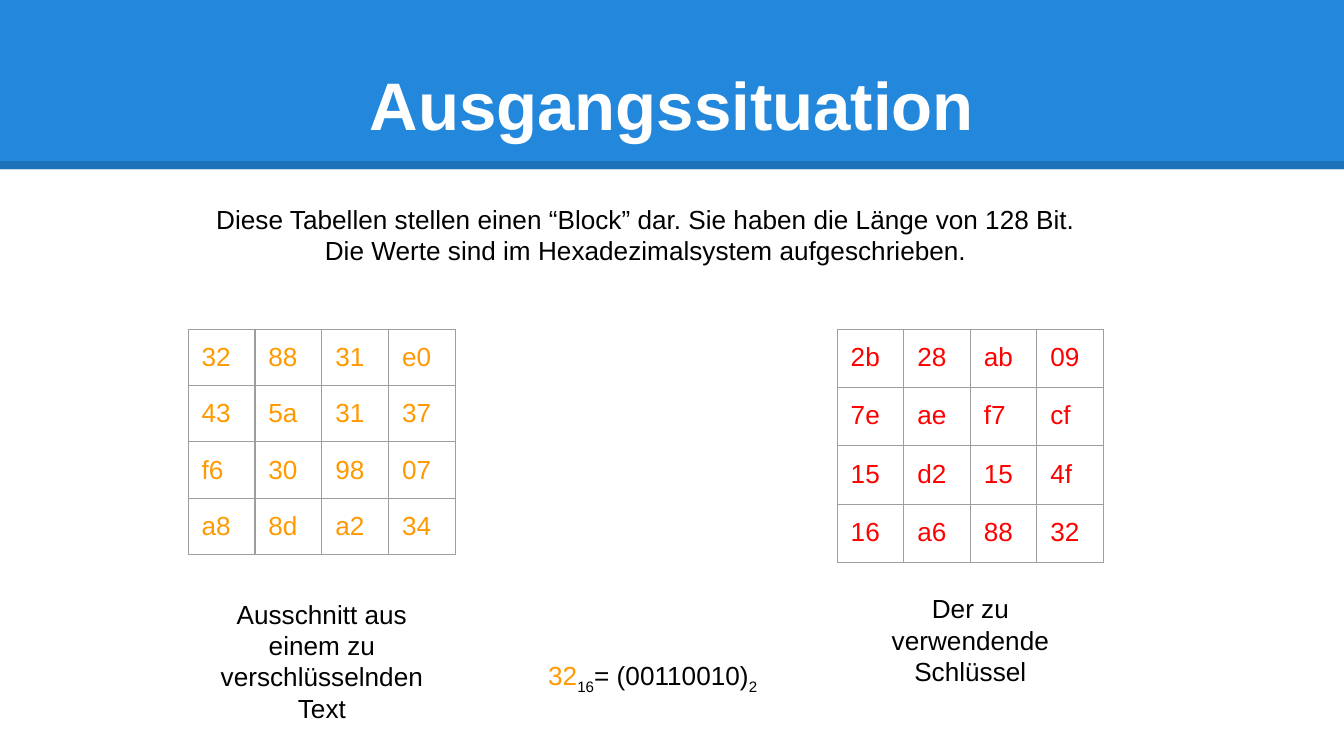
from dataclasses import dataclass

from lxml.etree import SubElement
from pptx import Presentation
from pptx.dml.color import RGBColor
from pptx.enum.shapes import MSO_CONNECTOR, MSO_SHAPE
from pptx.enum.text import MSO_ANCHOR, PP_ALIGN
from pptx.oxml.ns import qn
from pptx.util import Inches, Pt


@dataclass(frozen=True)
class Theme:
    font: str = "Arial"
    title_size: int = 36
    body_size: int = 14
    band: str = "2388DB"
    white: str = "FFFFFF"
    black: str = "000000"
    plaintext: str = "FF9900"
    key: str = "FF0000"
    grid: str = "9E9E9E"
    grid_width: float = 0.75


THEME = Theme()
INSET = Inches(0.1)
BLOCK_HEIGHT = 1.73

PLAINTEXT_BLOCK = ["32 88 31 e0", "43 5a 31 37", "f6 30 98 07", "a8 8d a2 34"]
KEY_BLOCK = ["2b 28 ab 09", "7e ae f7 cf", "15 d2 15 4f", "16 a6 88 32"]


def add_run(paragraph, text, color=THEME.black, size=THEME.body_size, bold=False, subscript=False):
    run = paragraph.add_run()
    run.text = text
    font = run.font
    font.name, font.size, font.bold = THEME.font, Pt(size), bold
    font.color.rgb = RGBColor.from_string(color)
    if subscript:
        font._element.set("baseline", "-25000")


def set_insets(target):
    target.margin_left = target.margin_right = INSET
    target.margin_top = target.margin_bottom = INSET


def add_header(slide, box, title_text):
    left, top, width, height = box
    band = slide.shapes.add_shape(MSO_SHAPE.RECTANGLE, *map(Inches, box))
    band.shadow.inherit = False
    band.fill.solid()
    band.fill.fore_color.rgb = RGBColor.from_string(THEME.band)
    band.line.fill.background()

    edge_y = Inches(top + height - 0.03)
    edge = slide.shapes.add_connector(
        MSO_CONNECTOR.STRAIGHT, Inches(left), edge_y, Inches(left + width), edge_y)
    edge.line.width = Pt(4.5)
    edge.line.color.rgb = RGBColor.from_string(THEME.black)
    edge_color = next(edge.element.iter(qn("a:srgbClr")))
    SubElement(edge_color, qn("a:alpha"), val="15000")
    SubElement(edge.element.spPr, qn("a:effectLst"))

    title = slide.shapes.title
    title.left, title.top = Inches(left + 0.5), Inches(top + 0.23)
    title.width, title.height = Inches(width - 1), Inches(0.94)
    frame = title.text_frame
    set_insets(frame)
    frame.vertical_anchor = MSO_ANCHOR.BOTTOM
    heading = frame.paragraphs[0]
    heading.alignment = PP_ALIGN.CENTER
    add_run(heading, title_text, THEME.white, THEME.title_size, bold=True)
    # Bring the title in front of the band.
    title.element.getparent().append(title.element)


def add_text(slide, box, lines, alignment=PP_ALIGN.CENTER):
    """Place one paragraph per line; a line is a list of (text, run options)."""
    frame = slide.shapes.add_textbox(*map(Inches, box)).text_frame
    frame.word_wrap = True
    set_insets(frame)
    for index, runs in enumerate(lines):
        paragraph = frame.add_paragraph() if index else frame.paragraphs[0]
        paragraph.alignment = alignment
        for text, options in runs:
            add_run(paragraph, text, **options)


def add_borders(cell):
    properties = cell._tc.get_or_add_tcPr()
    for position, side in enumerate(("a:lnL", "a:lnR", "a:lnT", "a:lnB")):
        border = SubElement(properties, qn(side), w=str(Pt(THEME.grid_width)))
        fill = SubElement(border, qn("a:solidFill"))
        SubElement(fill, qn("a:srgbClr"), val=THEME.grid)
        properties.insert(position, border)


def add_block(slide, box, rows, color, row_height):
    """Place a 128-bit block as a grid of hexadecimal bytes."""
    values = [row.split() for row in rows]
    block = slide.shapes.add_table(len(values), len(values[0]), *map(Inches, box)).table
    block.first_row = block.horz_banding = False
    for row, row_values in enumerate(values):
        block.rows[row].height = Inches(row_height)
        for column, value in enumerate(row_values):
            cell = block.cell(row, column)
            set_insets(cell)
            cell.fill.background()
            add_borders(cell)
            add_run(cell.text_frame.paragraphs[0], value, color)


def add_labelled_block(slide, box, rows, color, row_height, label, label_top):
    left, top, width, height = box
    add_block(slide, (left, top, width, BLOCK_HEIGHT), rows, color, row_height)
    add_text(slide, (left, top + label_top, width, height - label_top), [[(label, {})]])


def build_slide(presentation):
    slide = presentation.slides.add_slide(presentation.slide_layouts[5])
    add_header(slide, (0, 0, 10, 1.26), "Ausgangssituation")
    add_labelled_block(slide, (1.4, 2.45, 1.99, 2.99), PLAINTEXT_BLOCK, THEME.plaintext, 0.41,
                       "Ausschnitt aus einem zu verschlüsselnden Text", 1.9)
    add_text(slide, (1.4, 1.41, 6.81, 0.85), [
        [("Diese Tabellen stellen einen “Block” dar. Sie haben die Länge von 128 Bit.", {})],
        [("Die Werte sind im Hexadezimalsystem aufgeschrieben.", {})],
    ])
    add_labelled_block(slide, (6.23, 2.45, 1.98, 2.98), KEY_BLOCK, THEME.key, 0.42,
                       "Der zu verwendende Schlüssel", 1.86)
    add_text(slide, (3.98, 4.81, 1.92, 0.82), [[
        ("32", {"color": THEME.plaintext}),
        ("16", {"subscript": True}),
        ("= (00110010)", {}),
        ("2", {"subscript": True}),
    ]], PP_ALIGN.LEFT)


def main():
    presentation = Presentation()
    presentation.slide_width = Inches(10)
    presentation.slide_height = presentation.slide_width * 9 // 16
    build_slide(presentation)
    presentation.save("out.pptx")


if __name__ == "__main__":
    main()
